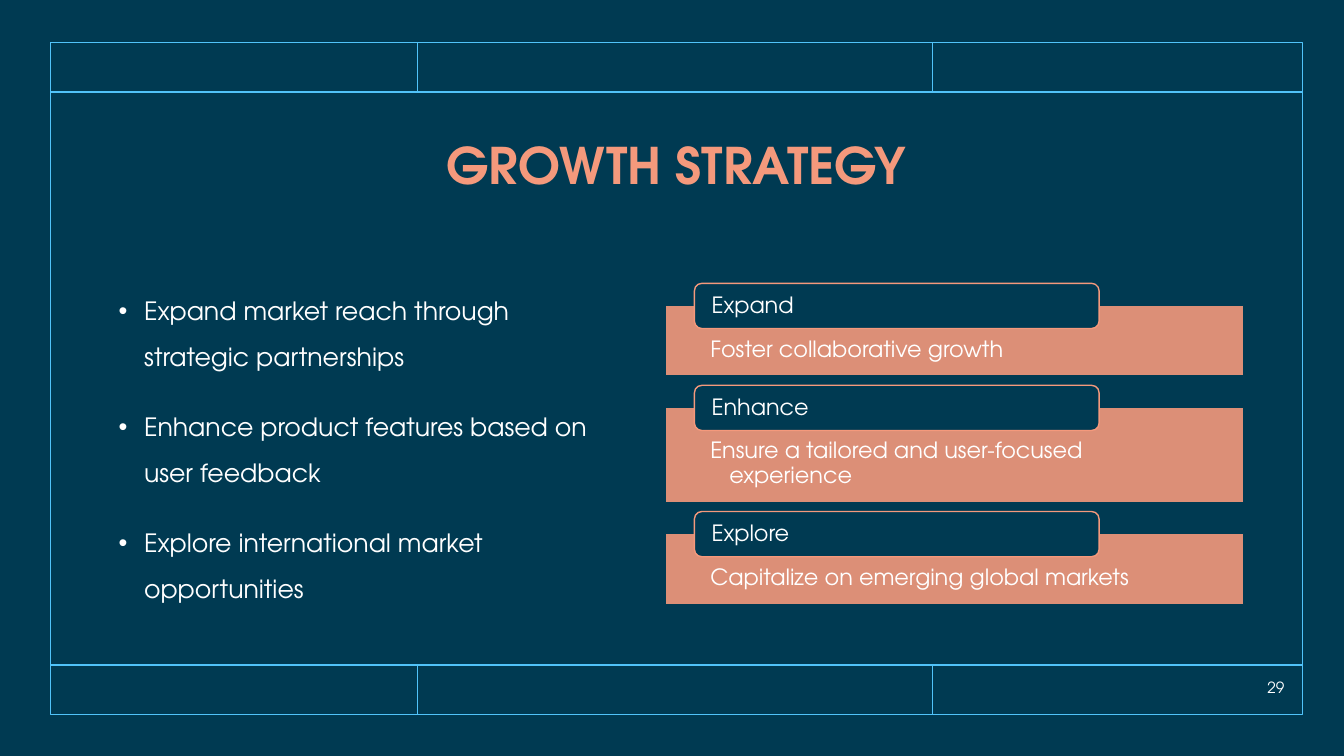
from lxml import etree
from pptx import Presentation
from pptx.dml.color import RGBColor
from pptx.enum.shapes import MSO_CONNECTOR, MSO_SHAPE
from pptx.enum.text import MSO_ANCHOR, MSO_AUTO_SIZE, PP_ALIGN
from pptx.oxml.ns import qn
from pptx.util import Cm, Pt

TITLE = "GROWTH STRATEGY"
GOALS = [
    "Expand market reach through strategic partnerships",
    "Enhance product features based on user feedback",
    "Explore international market opportunities",
]
CARDS = [
    ("Expand", "Foster collaborative growth", 1.78),
    ("Enhance", "Ensure a tailored and user-focused experience", 2.39),
    ("Explore", "Capitalize on emerging global markets", 1.78),
]
PAGE_NUMBER = "29"

FONT = "TeX Gyre Adventor"
NAVY = RGBColor(0x00, 0x3A, 0x52)
SKY = RGBColor(0x51, 0xC3, 0xF9)
CORAL = RGBColor(0xF4, 0x99, 0x7C)
WHITE = RGBColor(0xFF, 0xFF, 0xFF)

RECT, ROUNDED = MSO_SHAPE.RECTANGLE, MSO_SHAPE.ROUNDED_RECTANGLE
STRAIGHT = MSO_CONNECTOR.STRAIGHT
TOP, MIDDLE = MSO_ANCHOR.TOP, MSO_ANCHOR.MIDDLE
LEFT, CENTER, RIGHT = PP_ALIGN.LEFT, PP_ALIGN.CENTER, PP_ALIGN.RIGHT
NO_AUTOFIT = MSO_AUTO_SIZE.NONE

FRAME_LEFT, FRAME_TOP, FRAME_WIDTH, FRAME_HEIGHT = 1.27, 1.07, 31.55, 16.94
FRAME_RIGHT, FRAME_BOTTOM = FRAME_LEFT + FRAME_WIDTH, FRAME_TOP + FRAME_HEIGHT
BAND = 1.25
DIVIDERS = (10.52, 23.5)
CARD_LEFT, CARD_TOP, CARD_WIDTH, CARD_GAP = 16.76, 7.7, 14.58, 0.79
TAB_INDENT, TAB_RISE, TAB_WIDTH, TAB_HEIGHT = 0.74, 0.56, 10.2, 1.14
DEFAULT_INSETS = (0.25, 0.13, 0.25, 0.13)


def place(shape, left, top, width, height):
    shape.left, shape.top = Cm(left), Cm(top)
    shape.width, shape.height = Cm(width), Cm(height)


def set_frame(shape, anchor, insets=DEFAULT_INSETS):
    frame = shape.text_frame
    frame.word_wrap = True
    frame.auto_size = NO_AUTOFIT
    frame.vertical_anchor = anchor
    frame.margin_left, frame.margin_top, frame.margin_right, frame.margin_bottom = map(Cm, insets)
    return frame


def write(paragraph, text, size, align=LEFT, spacing=0.9, color=WHITE, bold=False):
    paragraph.alignment = align
    paragraph.line_spacing = spacing
    run = paragraph.add_run()
    run.text = text
    font = run.font
    font.name, font.size, font.bold = FONT, Pt(size), bold
    font.color.rgb = color


def hang(paragraph, indent):
    properties = paragraph._p.get_or_add_pPr()
    properties.set("marL", str(Cm(indent)))
    properties.set("indent", str(-Cm(indent)))
    return properties


def add_box(slide, kind, bounds, fill, line):
    box = slide.shapes.add_shape(kind, *map(Cm, bounds))
    box.shadow.inherit = False
    if fill is None:
        box.fill.background()
    else:
        box.fill.solid()
        box.fill.fore_color.rgb = fill
    box.line.color.rgb = line
    box.line.width = Pt(1)
    return box


def add_rule(slide, *ends):
    rule = slide.shapes.add_connector(STRAIGHT, *map(Cm, ends))
    rule.line.color.rgb = SKY
    rule.line.width = Pt(1)
    etree.SubElement(rule._element.spPr, qn("a:effectLst"))


def add_border(slide):
    add_box(slide, RECT, (FRAME_LEFT, FRAME_TOP, FRAME_WIDTH, FRAME_HEIGHT), None, SKY)
    for band_top in (FRAME_TOP, FRAME_BOTTOM - BAND):
        for divider in DIVIDERS:
            add_rule(slide, divider, band_top, divider, band_top + BAND)
    for edge in (FRAME_TOP + BAND, FRAME_BOTTOM - BAND):
        add_rule(slide, FRAME_LEFT, edge, FRAME_RIGHT, edge)


def fill_title(title):
    place(title, FRAME_LEFT, FRAME_TOP + BAND, FRAME_WIDTH, 3.86)
    write(set_frame(title, MIDDLE).paragraphs[0], TITLE, 36, CENTER, color=CORAL, bold=True)


def fill_goals(body):
    place(body, 2.74, 6.4, 12.9, 9.47)
    frame = set_frame(body, MIDDLE)
    for index, goal in enumerate(GOALS):
        paragraph = frame.add_paragraph() if index else frame.paragraphs[0]
        properties = hang(paragraph, 0.64)
        etree.SubElement(properties, qn("a:buFont")).set("typeface", "Arial")
        etree.SubElement(properties, qn("a:buChar")).set("char", "•")
        paragraph.space_before = Pt(18 if index else 0)
        write(paragraph, goal, 18, spacing=1.5)


def add_cards(slide):
    top = CARD_TOP
    for heading, detail, height in CARDS:
        card = add_box(slide, RECT, (CARD_LEFT, top, CARD_WIDTH, height), CORAL, NAVY)
        tint = card._element.spPr.find(qn("a:solidFill"))[0]
        etree.SubElement(tint, qn("a:alpha")).set("val", "90000")
        paragraph = set_frame(card, TOP, (1.14, 0.81, 1.14, 0.3)).paragraphs[0]
        hang(paragraph, 0.48)
        write(paragraph, detail, 16)

        bounds = (CARD_LEFT + TAB_INDENT, top - TAB_RISE, TAB_WIDTH, TAB_HEIGHT)
        tab = add_box(slide, ROUNDED, bounds, NAVY, CORAL)
        write(set_frame(tab, MIDDLE, (0.38, 0, 0.38, 0)).paragraphs[0], heading, 16)
        top += height + CARD_GAP


def main():
    """Build the growth strategy slide."""
    deck = Presentation()
    deck.slide_width, deck.slide_height = Cm(33.87), Cm(19.05)
    slide = deck.slides.add_slide(deck.slide_layouts[1])
    slide.background.fill.solid()
    slide.background.fill.fore_color.rgb = NAVY

    add_border(slide)
    fill_title(slide.shapes.title)
    fill_goals(slide.placeholders[1])
    add_cards(slide)
    page = slide.shapes.add_textbox(Cm(30.28), Cm(16.94), Cm(2.34), Cm(0.76))
    write(set_frame(page, MIDDLE).paragraphs[0], PAGE_NUMBER, 11, RIGHT, spacing=1.0)
    deck.save("out.pptx")


if __name__ == "__main__":
    main()
